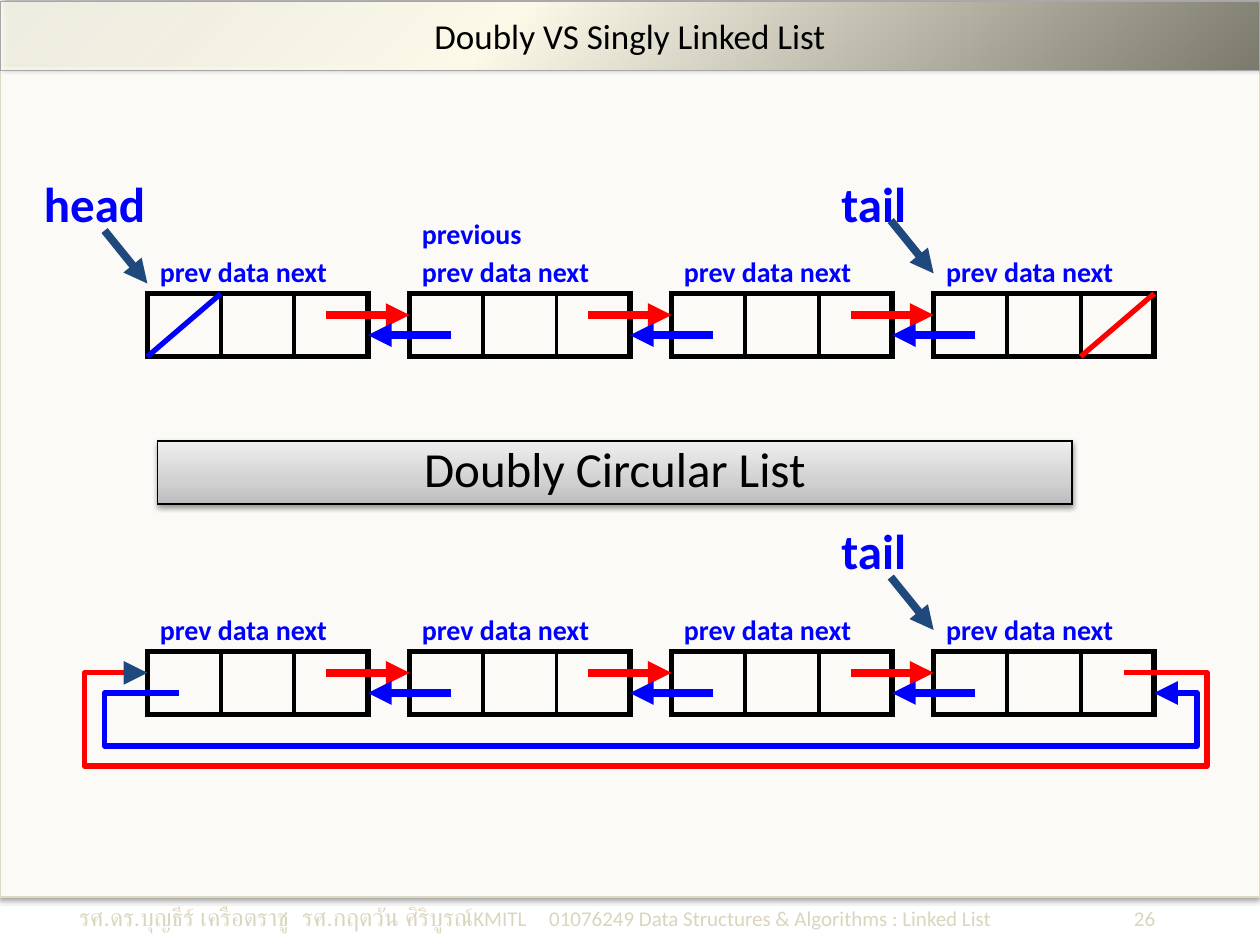
from dataclasses import dataclass
from lxml.etree import SubElement
from pptx import Presentation
from pptx.dml.color import RGBColor
from pptx.enum.shapes import MSO_CONNECTOR, MSO_SHAPE
from pptx.enum.text import MSO_ANCHOR, PP_ALIGN
from pptx.oxml.ns import qn
from pptx.util import Inches, Pt


@dataclass(frozen=True)
class Theme:
    font: str = "Calibri"
    thai_font: str = "Roboto"
    black: str = "000000"
    blue: str = "0000FF"
    red: str = "FF0000"
    navy: str = "1F497D"
    page: str = "FBFAF7"
    page_edge: str = "DDD9C3"
    title_edge: str = "A6A6A6"
    footer: str = "DAD5BC"
    title_stops: tuple = ((0, "FEFCEE", 79), (40, "FDFAEA", 100), (100, "7B796B", 100))
    banner_stops: tuple = ((0, "BDBDBD", 100), (35, "D1D1D1", 100), (100, "EEEEEE", 100))
    heading: int = 28
    title: int = 20
    label: int = 16
    thai: int = 14
    small: int = 12
    thin: float = 0.75
    divider: float = 2.25
    outline: float = 3
    arrow: float = 4.5


THEME = Theme()

# Node geometry in inches
NODE_LEFT, NODE_WIDTH, NODE_HEIGHT, NODE_GAP = 1.17, 1.75, 0.5, 0.33
FIELD = NODE_WIDTH / 3
NODES = [NODE_LEFT + i * (NODE_WIDTH + NODE_GAP) for i in range(4)]
LIST_RIGHT = NODES[-1] + NODE_WIDTH
NEXT_Y, PREV_Y = 0.17, 0.33


def set_line(shape, color, width):
    shape.line.color.rgb = RGBColor.from_string(color)
    shape.line.width = Pt(width)


def add_color(parent, color, alpha):
    value = SubElement(parent, qn("a:srgbClr"), val=color)
    if alpha < 100:
        SubElement(value, qn("a:alpha"), val=str(alpha * 1000))


def add_gradient(shape, stops, angle):
    shape.fill.gradient()
    gradient = shape.element.spPr.find(qn("a:gradFill"))
    for child in list(gradient):
        gradient.remove(child)
    stop_list = SubElement(gradient, qn("a:gsLst"))
    for position, color, alpha in stops:
        add_color(SubElement(stop_list, qn("a:gs"), pos=str(position * 1000)), color, alpha)
    SubElement(gradient, qn("a:lin"), ang=str(angle * 60000), scaled="0")


def add_shadow(shape, alpha, blur, distance, angle):
    effects = shape.element.spPr.find(qn("a:effectLst"))
    shadow = SubElement(effects, qn("a:outerShdw"), blurRad=str(Pt(blur)),
                        dist=str(Pt(distance)), dir=str(angle * 60000), rotWithShape="0")
    add_color(shadow, THEME.black, alpha)


def add_box(shapes, left, top, width, height, edge, weight):
    box = shapes.add_shape(MSO_SHAPE.RECTANGLE, *map(Inches, (left, top, width, height)))
    box.shadow.inherit = False
    box.fill.background()
    set_line(box, edge, weight)
    SubElement(box.line._get_or_add_ln(), qn("a:miter"), lim="800000")
    return box


def add_run(paragraph, text, size, color, **formats):
    run = paragraph.add_run()
    run.text = text
    for name, value in {"name": THEME.font, "size": Pt(size), **formats}.items():
        setattr(run.font, name, value)
    run.font.color.rgb = RGBColor.from_string(color)


def add_centered(box, text, size, anchor):
    box.text_frame.vertical_anchor = anchor
    paragraph = box.text_frame.paragraphs[0]
    paragraph.alignment = PP_ALIGN.CENTER
    add_run(paragraph, text, size, THEME.black)


def add_label(shapes, text, left, top, width, size=THEME.label):
    height = 0.57 if size == THEME.heading else 0.37
    label = shapes.add_textbox(*map(Inches, (left, top, width, height)))
    label.text_frame.word_wrap = True
    add_run(label.text_frame.paragraphs[0], text, size, THEME.blue, bold=True)


def add_line(shapes, start, end, color, width, arrow=False):
    line = shapes.add_connector(MSO_CONNECTOR.STRAIGHT, *map(Inches, (*start, *end)))
    set_line(line, color, width)
    if arrow:
        SubElement(line.line._get_or_add_ln(), qn("a:tailEnd"), type="triangle")
    SubElement(line.element.spPr, qn("a:effectLst"))


def add_arrow(shapes, start, end, color):
    add_line(shapes, start, end, color, THEME.arrow, arrow=True)


def add_loop(shapes, points, color):
    corners = [(Inches(x), Inches(y)) for x, y in points]
    builder = shapes.build_freeform(*corners[0])
    builder.add_line_segments(corners[1:], close=False)
    loop = builder.convert_to_shape()
    loop.shadow.inherit = False
    loop.fill.background()
    set_line(loop, color, THEME.outline)


def add_pointer(shapes, name, left, label_top, width, tip, top):
    add_label(shapes, name, left, label_top, width, THEME.heading)
    x, y = tip
    add_arrow(shapes, (x - 0.34, top + y - 0.42), (x, top + y), THEME.navy)


def add_linked_nodes(shapes, top):
    for left in NODES:
        add_box(shapes, left, top, NODE_WIDTH, NODE_HEIGHT, THEME.black, THEME.outline)
        for x in (left + FIELD, left + 2 * FIELD):
            add_line(shapes, (x, top), (x, top + NODE_HEIGHT), THEME.black, THEME.divider)
        add_label(shapes, "prev data next", left, top - 0.36, 1.92)
    for left, following in zip(NODES, NODES[1:]):
        right = left + NODE_WIDTH
        add_arrow(shapes, (right - 0.33, top + NEXT_Y), (following, top + NEXT_Y), THEME.red)
        add_arrow(shapes, (following + 0.33, top + PREV_Y), (right, top + PREV_Y), THEME.blue)


def add_doubly_list(shapes, top):
    add_linked_nodes(shapes, top)
    # Null links at both ends
    bottom = top + NODE_HEIGHT
    for left, color in ((NODE_LEFT, THEME.blue), (LIST_RIGHT - FIELD, THEME.red)):
        add_line(shapes, (left, bottom), (left + FIELD, top), color, THEME.outline)
    add_pointer(shapes, "head", 0.25, top - 1, 1.25, (NODE_LEFT, -0.08), top)
    add_pointer(shapes, "tail", 6.58, top - 1, 0.92, (NODES[-1], -0.16), top)
    add_label(shapes, "previous", NODES[1], top - 0.66, 1.08)


def add_circular_list(shapes, top):
    add_linked_nodes(shapes, top)
    add_pointer(shapes, "tail", 6.58, top - 1.09, 0.92, (NODES[-1], -0.17), top)
    # Links that close the ring
    next_y, prev_y = top + NEXT_Y, top + PREV_Y
    add_loop(shapes, [(8.92, next_y), (9.58, next_y), (9.58, 6.08), (0.67, 6.08),
                      (0.67, next_y), (1.08, next_y)], THEME.red)
    add_arrow(shapes, (1.08, next_y), (NODE_LEFT, next_y), THEME.navy)
    add_loop(shapes, [(1.42, prev_y), (0.83, prev_y), (0.83, 5.92), (9.5, 5.92),
                      (9.5, prev_y), (9.25, prev_y)], THEME.blue)
    add_arrow(shapes, (9.25, prev_y), (LIST_RIGHT, prev_y), THEME.blue)


def add_footer(shapes):
    footer = shapes.add_textbox(*map(Inches, (0.53, 7.11, 8.98, 0.37)))
    footer.text_frame.word_wrap = True
    paragraph = footer.text_frame.paragraphs[0]
    tabs = SubElement(paragraph._p.get_or_add_pPr(), qn("a:tabLst"))
    for position, align in ((1.77, "l"), (3.73, "l"), (8.54, "r")):
        SubElement(tabs, qn("a:tab"), pos=str(Inches(position)), algn=align)
    add_run(paragraph, "รศ.ดร.บุญธีร์ เครือตราชู\tรศ.กฤตวัน ศิริบูรณ์",
            THEME.thai, THEME.footer, name=THEME.thai_font)
    add_run(paragraph, "KMITL\t01076249 Data Structures & Algorithms : Linked List\t26",
            THEME.small, THEME.footer)


def main():
    deck = Presentation()
    deck.slide_width, deck.slide_height = Inches(10), Inches(7.5)
    shapes = deck.slides.add_slide(deck.slide_layouts[6]).shapes

    # Page panel and footer
    panel = add_box(shapes, 0, 0.52, 10, 6.6, THEME.page_edge, THEME.thin)
    panel.fill.solid()
    panel.fill.fore_color.rgb = RGBColor.from_string(THEME.page)
    add_shadow(panel, 38, 3.1, 1.6, 90)
    add_footer(shapes)

    # Banner between the two lists
    banner = add_box(shapes, 1.25, 3.5, 7.26, 0.5, THEME.black, THEME.thin)
    add_gradient(banner, THEME.banner_stops, 270)
    add_shadow(banner, 38, 3.1, 1.6, 90)
    add_centered(banner, "Doubly Circular List", THEME.heading, MSO_ANCHOR.BOTTOM)

    # Linked lists
    add_doubly_list(shapes.add_group_shape().shapes, 2.33)
    add_circular_list(shapes.add_group_shape().shapes, 5.17)

    # Title bar
    title = add_box(shapes, 0, 0.01, 10, 0.55, THEME.title_edge, THEME.thin)
    add_gradient(title, THEME.title_stops, 45)
    add_shadow(title, 40, 4, 3, 315)
    add_centered(title, "Doubly VS Singly Linked List", THEME.title, MSO_ANCHOR.MIDDLE)

    deck.save("out.pptx")


main()
